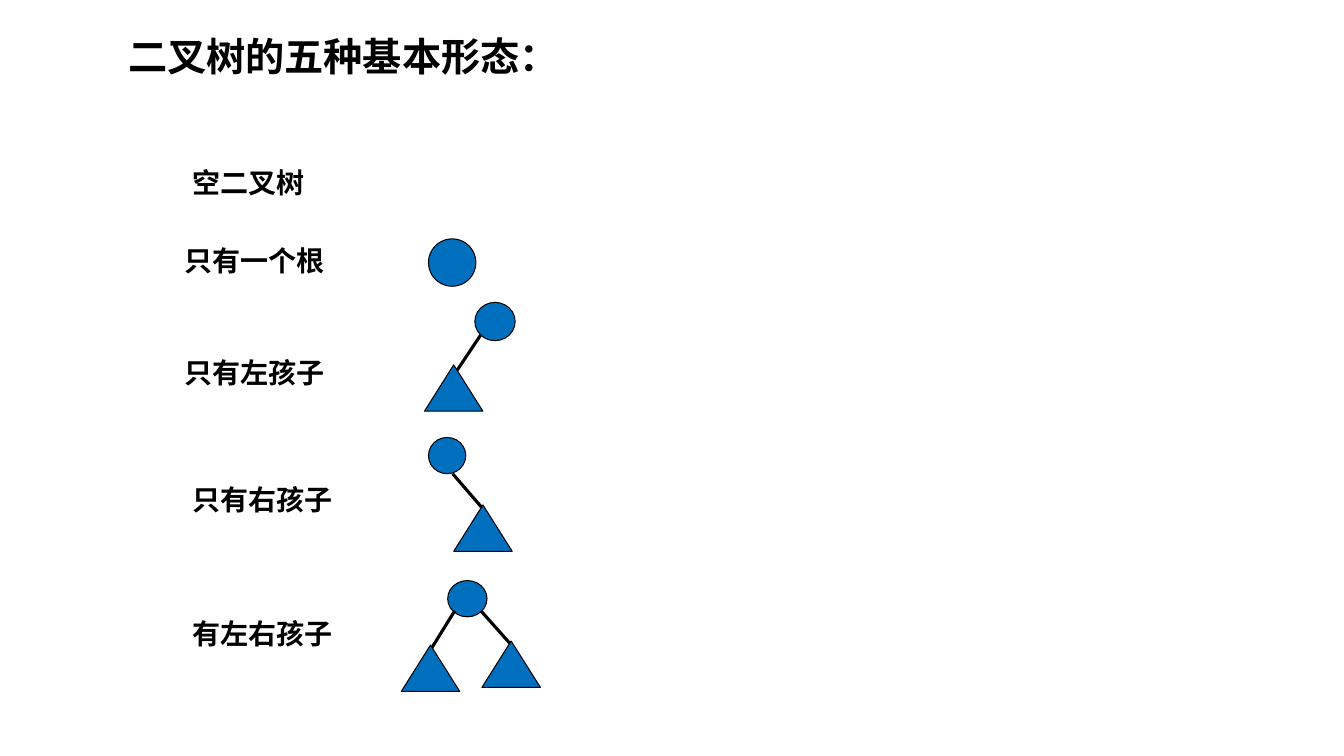
from pptx import Presentation
from pptx import util as u
from pptx.dml.color import RGBColor
from pptx.enum import shapes, text
from pptx.oxml import parse_xml
from pptx.oxml.ns import nsdecls

EMU_PER_PX = 9144  # 100 px to the inch
TITLE_ONLY = 5
TRIANGLE_SIZE = (58, 46)


def px(*lengths):
    return [u.Emu(length * EMU_PER_PX) for length in lengths]


def colour(value):
    return RGBColor.from_string(value)


class TreePage:
    """Holds the style and the slide being drawn."""

    ink = "000000"
    node_fill = "0070BE"
    font = {"name": "Times New Roman", "bold": True}
    outline, edge_width = u.Pt(0.75), u.Pt(2.25)

    def __init__(self, deck):
        self.page = deck.slides.add_slide(deck.slide_layouts[TITLE_ONLY])
        self.shapes = self.page.shapes

    def set_words(self, box, words, size):
        frame = box.text_frame
        frame_format = {
            "word_wrap": False,
            "auto_size": text.MSO_AUTO_SIZE.SHAPE_TO_FIT_TEXT,
            "vertical_anchor": text.MSO_ANCHOR.TOP,
        }
        for name, value in frame_format.items():
            setattr(frame, name, value)
        para = frame.paragraphs[0]
        para.alignment = text.PP_ALIGN.LEFT
        span = para.add_run()
        span.text = words
        for name, value in {**self.font, "size": u.Pt(size)}.items():
            setattr(span.font, name, value)
        span.font.color.rgb = colour(self.ink)

    def title(self, words, *place):
        box = self.shapes.title
        for name, value in zip(("left", "top", "width", "height"), px(*place)):
            setattr(box, name, value)
        self.set_words(box, words, 28)

    def label(self, words, left, top, width=160):
        box = self.shapes.add_textbox(*px(left, top, width, 43))
        self.set_words(box, words, 20)

    def node(self, kind, *place):
        node = self.shapes.add_shape(kind, *px(*place))
        node.shadow.inherit = False
        node.fill.solid()
        node.fill.fore_color.rgb = colour(self.node_fill)
        node.line.color.rgb = colour(self.ink)
        node.line.width = self.outline

    def edge(self, *ends):
        edge = self.shapes.add_connector(shapes.MSO_CONNECTOR.STRAIGHT, *px(*ends))
        edge.line.color.rgb = colour(self.ink)
        edge.line.width = self.edge_width
        edge._element.spPr.append(parse_xml(f"<a:effectLst {nsdecls('a')}/>"))

    def tree(self, root, branches):
        """Draws a round root, then an edge and a triangular subtree per branch."""
        self.node(shapes.MSO_SHAPE.OVAL, *root)
        for edge, corner in branches:
            self.edge(*edge)
            self.node(shapes.MSO_SHAPE.ISOSCELES_TRIANGLE, *corner, *TRIANGLE_SIZE)


LABELS = [
    ("空二叉树", 181, 159, 181),
    ("只有一个根", 173, 237),
    ("只有左孩子", 173, 348),
    ("只有右孩子", 181, 474),
    ("有左右孩子", 181, 607),
]

# Root (left, top, width, height), then (edge ends, subtree corner) pairs
TREES = [
    ((425, 237, 47, 47), []),
    ((471, 300, 40, 38), [((477, 332, 451, 371), (421, 362))]),
    ((425, 434, 37, 36), [((449, 470, 480, 506), (450, 501))]),
    ((444, 576, 39, 36), [((451, 606, 425, 648), (398, 640)),
                          ((477, 606, 509, 642), (478, 636))]),
]


def main():
    deck = Presentation()
    deck.slide_width, deck.slide_height = px(1333, 750)
    page = TreePage(deck)
    page.title("二叉树的五种基本形态：", 117, 27, 450, 57)
    for label in LABELS:
        page.label(*label)
    for root, branches in TREES:
        page.tree(root, branches)
    deck.save("out.pptx")


if __name__ == "__main__":
    main()
